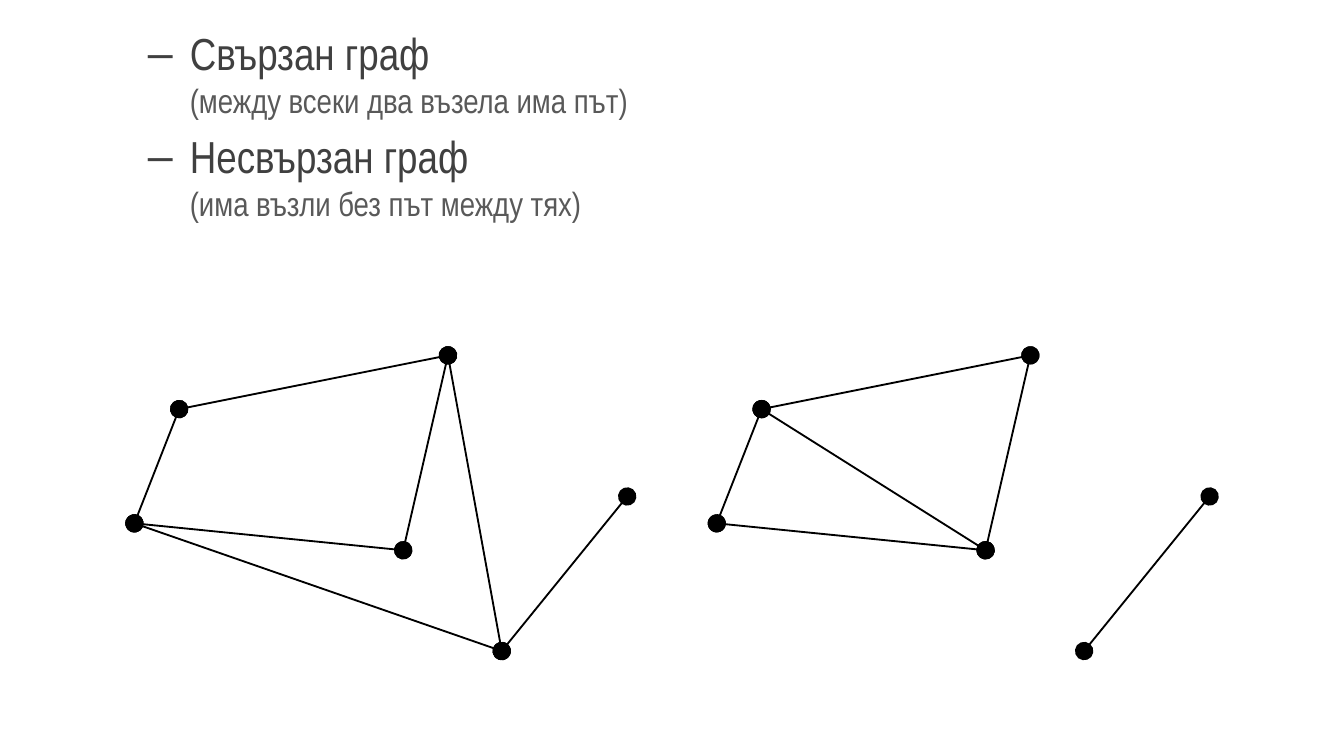
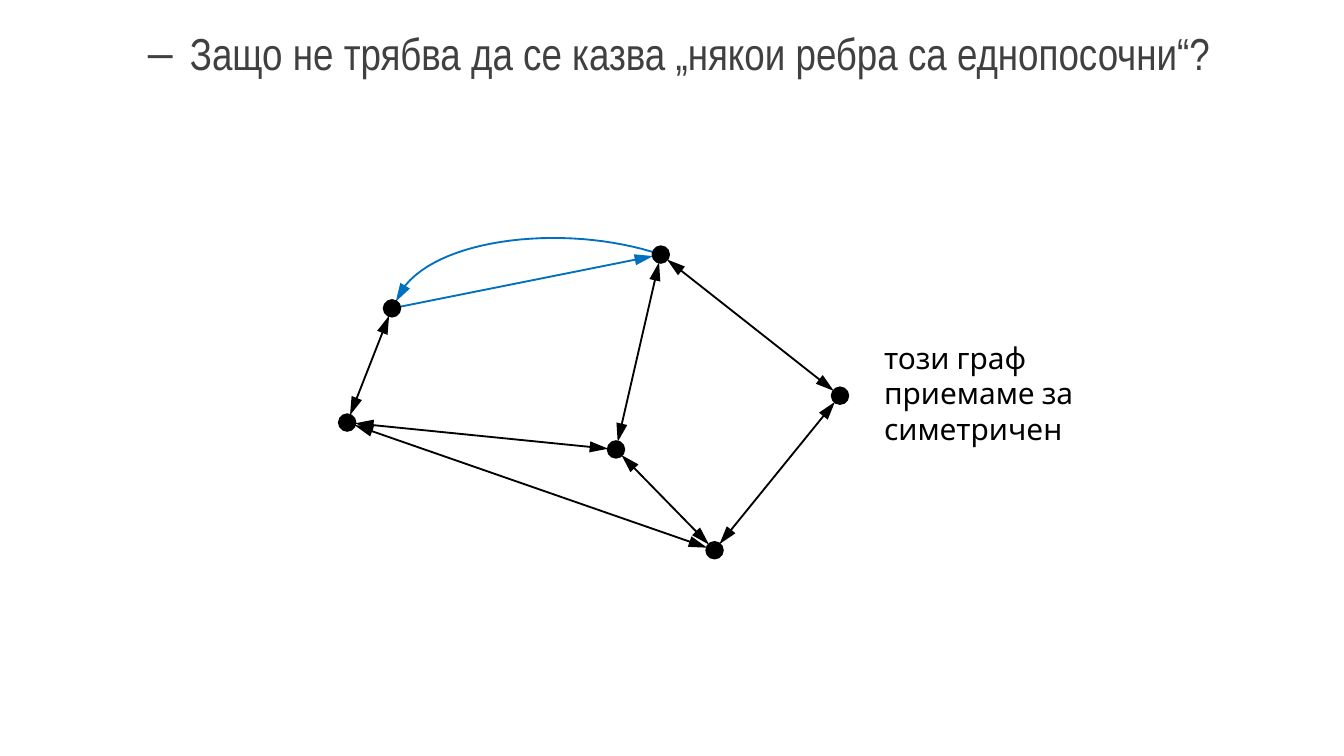
from math import hypot

from lxml.etree import SubElement
from pptx import Presentation
from pptx.dml.color import RGBColor
from pptx.enum.shapes import MSO_CONNECTOR
from pptx.enum.text import MSO_ANCHOR, MSO_AUTO_SIZE
from pptx.oxml.ns import qn
from pptx.util import Pt

COLORS = {"line": "000000", "one_way": "0070C0", "topic": "404040", "remark": "595959"}
TOPIC_FONT, NOTE_FONT = "Arial Narrow", "Karla"
HANGING = 22.5
ARROW = ("triangle", "med", "lg")
DOT = ("oval", "lg", "lg")
DOT_LENGTH = 0.3
ARROW_GAP = 4.2

# The same six nodes are placed three times
NODES = {"A": (72, 280.4), "B": (96, 219.2), "C": (240, 190.4),
         "D": (216, 294.8), "E": (268.8, 348.8), "F": (336, 266)}
CONNECTED = "AB AD AE BC CD FE EC"
DISCONNECTED = "AB AD BD BC CD FE"
TWO_WAY = "AB AD AE CD CF FE DE"


def color(name):
    return RGBColor.from_string(COLORS[name])


def write(p, text, *, font, size, fill):
    r = p.add_run()
    r.text = text
    r.font.name, r.font.size = font, Pt(size)
    r.font.color.rgb = color(fill)


def style_line(sp, fill, head=None, tail=None):
    sp.line.width = Pt(1)
    sp.line.color.rgb = color(fill)
    ln = sp.line._get_or_add_ln()
    for tag, end in (("a:headEnd", head), ("a:tailEnd", tail)):
        if end:
            kind, width, length = end
            SubElement(ln, qn(tag), type=kind, w=width, len=length)


def shorten(start, end, gap):
    """Move start towards end by gap."""
    (x1, y1), (x2, y2) = start, end
    k = gap / hypot(x2 - x1, y2 - y1)
    return x1 + k * (x2 - x1), y1 + k * (y2 - y1)


def bezier(points, steps=32):
    for i in range(steps + 1):
        t = i / steps
        weights = ((1 - t) ** 3, 3 * t * (1 - t) ** 2, 3 * t * t * (1 - t), t ** 3)
        yield tuple(sum(w * pt[axis] for w, pt in zip(weights, points)) for axis in (0, 1))


class Deck:
    def __init__(self):
        self.prs = Presentation()
        self.prs.slide_width, self.prs.slide_height = Pt(720), Pt(405)

    def new_slide(self):
        self.s = self.prs.slides.add_slide(self.prs.slide_layouts[1])
        title = self.s.shapes.title
        title._element.getparent().remove(title._element)

    def topics(self, *items):
        """Fill the body with (topic, remark) pairs; the remark may be None."""
        body = self.s.placeholders[1]
        body.left, body.top, body.width, body.height = Pt(36), Pt(10.4), Pt(684), Pt(372)
        tf = body.text_frame
        tf.word_wrap, tf.auto_size = True, MSO_AUTO_SIZE.NONE
        tf.vertical_anchor = MSO_ANCHOR.TOP
        rows = [(level, text) for item in items for level, text in enumerate(item, 1) if text]
        for i, (level, text) in enumerate(rows):
            p = tf.paragraphs[0] if i == 0 else tf.add_paragraph()
            p.level = level
            p.space_before = Pt(4.8 if i and level == 1 else 0)
            pPr = p._p.get_or_add_pPr()
            pPr.set("marL", str(Pt(58.5 + HANGING * (level - 1))))
            pPr.set("indent", str(-Pt(HANGING)))
            if level == 1:
                SubElement(pPr, qn("a:buFont"), typeface="Arial")
                SubElement(pPr, qn("a:buChar"), char="–")
                write(p, text, font=TOPIC_FONT, size=24, fill="topic")
            else:
                SubElement(pPr, qn("a:buNone"))
                write(p, text, font=TOPIC_FONT, size=18, fill="remark")

    def note(self, lines, x, y, w, h):
        tf = self.s.shapes.add_textbox(Pt(x), Pt(y), Pt(w), Pt(h)).text_frame
        tf.word_wrap = True
        for i, text in enumerate(lines):
            p = tf.paragraphs[0] if i == 0 else tf.add_paragraph()
            write(p, text, font=NOTE_FONT, size=16, fill="line")

    def new_graph(self, dx=0, dy=0):
        self.graph = self.s.shapes.add_group_shape().shapes
        self.nodes = {n: (x + dx, y + dy) for n, (x, y) in NODES.items()}

    def line(self, start, end, fill="line", head=None, tail=None):
        sp = self.graph.add_connector(MSO_CONNECTOR.STRAIGHT, *map(Pt, (*start, *end)))
        style_line(sp, fill, head, tail)
        SubElement(sp._element.spPr, qn("a:effectLst"))

    def edges(self, names, fill="line", head=DOT, tail=DOT):
        """Draw edges named by their two nodes; arrow tips stop at the dot."""
        for a, b in names.split():
            start, end = self.nodes[a], self.nodes[b]
            self.line(shorten(start, end, ARROW_GAP if head == ARROW else 0),
                      shorten(end, start, ARROW_GAP if tail == ARROW else 0),
                      fill, head, tail)

    def curve(self, *points):
        start, *rest = [(Pt(x), Pt(y)) for x, y in bezier(points)]
        builder = self.graph.build_freeform(*start)
        builder.add_line_segments(rest, close=False)
        sp = builder.convert_to_shape()
        sp.shadow.inherit = False
        sp.fill.background()
        style_line(sp, "one_way", tail=ARROW)

    def dots(self):
        """Mark each node with a very short line that has a round end."""
        for x, y in self.nodes.values():
            self.line((x, y), (x + DOT_LENGTH, y), head=DOT)


def main():
    deck = Deck()

    deck.new_slide()
    deck.topics(("Свързан граф", "(между всеки два възела има път)"),
                ("Несвързан граф", "(има възли без път между тях)"))
    deck.new_graph()
    deck.edges(CONNECTED)
    deck.new_graph(dx=312)
    deck.edges(DISCONNECTED)

    deck.new_slide()
    deck.topics(("Защо не трябва да се казва „някои ребра са еднопосочни“?", None))
    deck.note(("този граф", "приемаме за", "симетричен"), 466.5, 178.2, 120, 67.5)
    deck.new_graph(dx=114, dy=-54)
    deck.edges(TWO_WAY, head=ARROW, tail=ARROW)
    deck.edges("BC", fill="one_way", tail=ARROW, head=None)
    deck.curve((354, 136.4), (302.4, 118.8), (225.4, 127.4), (212, 161.6))
    deck.dots()

    deck.prs.save("out.pptx")


if __name__ == "__main__":
    main()
